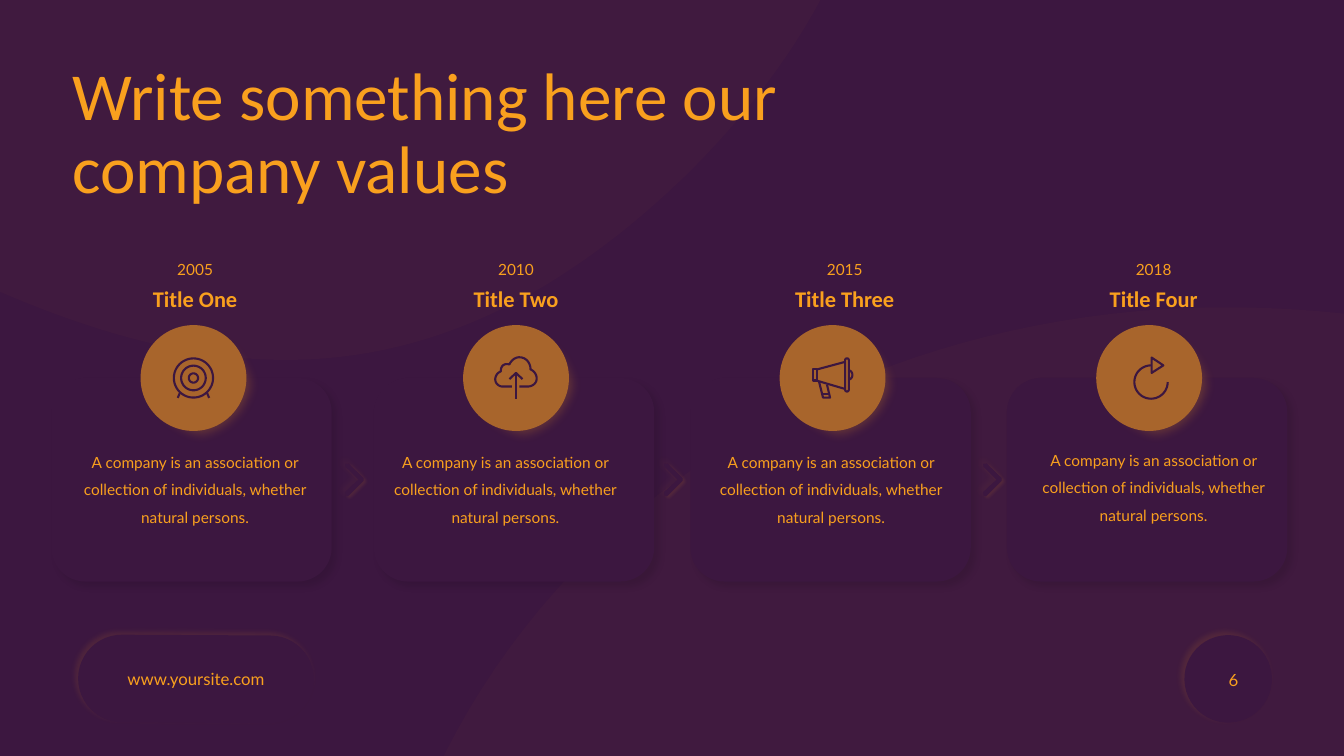
import math
from lxml import etree
from pptx import Presentation
from pptx.dml.color import RGBColor
from pptx.enum import shapes as kinds, text as txt
from pptx.oxml import ns
from pptx.util import Pt

PLUM = RGBColor(0x3C, 0x17, 0x40)
GOLD = RGBColor(0xF9, 0xA0, 0x1E)
COPPER = RGBColor(0xA8, 0x65, 0x2C)
BRONZE = RGBColor(0xC3, 0x78, 0x27)
BLACK = RGBColor(0, 0, 0)
OVAL = kinds.MSO_SHAPE.OVAL
ROUNDED = kinds.MSO_SHAPE.ROUNDED_RECTANGLE
CENTER = txt.PP_ALIGN.CENTER
UNITS_PER_POINT = 100

BODY = ("A company is an association or collection of individuals, "
        "whether natural persons.")


def arc(cx, cy, radius, start=0, end=360):
    angles = [math.radians(start + (end - start) * i / 48) for i in range(49)]
    return [(cx + radius * math.cos(a), cy + radius * math.sin(a)) for a in angles]


def curve(start, *beziers, steps=16):
    points = [start]
    for b, c, d in beziers:
        a = points[-1]
        for i in range(1, steps + 1):
            t = i / steps
            s = 1 - t
            points.append(tuple(
                s**3 * a[k] + 3 * s * s * t * b[k] + 3 * s * t * t * c[k] + t**3 * d[k]
                for k in (0, 1)))
    return points


def rect(left, top, right, bottom):
    return [(left, top), (right, top), (right, bottom), (left, bottom), (left, top)]


TARGET = [arc(0, 0, r) for r in (14, 8.8, 3.3)] + [
    [(side * 9.7, 10.7), (side * 11.2, 14.2)] for side in (-1, 1)]
CLOUD = [
    [(-2.9, 6.1)] + curve(
        (-9.7, 6.1),
        ((-12.2, 6.1), (-14.8, 3.8), (-14.8, 1.1)),
        ((-14.8, -1.4), (-13.3, -3.8), (-10.8, -4.7)),
        ((-11, -8), (-9, -10.8), (-4.7, -9.7)),
        ((-3, -13), (-0.5, -14.8), (2.5, -14.8)),
        ((6.8, -14.8), (10.4, -11.2), (10.4, -6.1)),
        ((13, -5), (14.8, -2.5), (14.8, 0.4)),
        ((14.8, 3.6), (12, 6.1), (8.3, 6.1))) + [(2.5, 6.1)],
    [(0, 15), (0, -3.6)],
    [(-4.7, 0.8), (0, -3.6), (4.7, 0.8)]]
MEGAPHONE = [
    rect(-14, -6.1, -11, 1.8),
    [(-11, -6.1), (9, -11.5)],
    [(-11, 2), (9, 7.9)],
    arc(10.3, -12.7, 1.3, 180, 360) + arc(10.3, 8.4, 1.3, 0, 180) + [(9, -12.7)],
    curve((11.6, -5.4), ((15, -5), (15, 0.7), (11.6, 1.1))),
    [(-9.7, 2.5), (-6.8, 14), (-1.8, 14), (-4, 4.7)],
    [(-7.6, 11.2), (-2.5, 11.2)]]
REFRESH = [
    arc(1.4, 2.9, 11.9, 0, 270),
    [(1.8, -14.6), (10.2, -9), (1.8, -3.6), (1.8, -14.6)]]

# fields: year, title, icon, card left, heading shift, body shift, body top
MILESTONES = [
    ("2005", "Title One", TARGET, 36.7, 2.6, 2.6, 313.2),
    ("2010", "Title Two", CLOUD, 267.1, 1.4, -6.1, 313.2),
    ("2015", "Title Three", MEGAPHONE, 493.2, 10.1, 0.4, 313.2),
    ("2018", "Title Four", REFRESH, 719.3, 4.7, 4.7, 311.8),
]


def add_effect(shape, tag, color=None, alpha=100, **attributes):
    effects = shape._element.spPr.find(ns.qn("a:effectLst"))
    effect = etree.SubElement(effects, ns.qn(tag), attributes)
    if color is not None:
        tint = etree.SubElement(effect, ns.qn("a:srgbClr"), val=str(color))
        etree.SubElement(tint, ns.qn("a:alpha"), val=str(alpha * 1000))


def cast_shadow(shape, color, alpha, blur, distance, degrees):
    add_effect(shape, "a:outerShdw", color, alpha, blurRad=str(Pt(blur)),
               dist=str(Pt(distance)), dir=str(degrees * 60000), rotWithShape="0")


def paint(shape, color, alpha=100):
    shape.fill.solid()
    shape.fill.fore_color.rgb = color
    if alpha < 100:
        tint = shape._element.spPr.find(".//" + ns.qn("a:srgbClr"))
        etree.SubElement(tint, ns.qn("a:alpha"), val=str(alpha * 1000))
    shape.line.fill.background()
    shape.shadow.inherit = False
    return shape


def add_solid(slide, kind, box, color, alpha=100, roundness=None):
    shape = slide.shapes.add_shape(kind, *map(Pt, box))
    if roundness is not None:
        shape.adjustments[0] = roundness
    return paint(shape, color, alpha)


def add_outline(slide, strokes, x=0, y=0, closed=False):
    scaled = [[((x + px) * UNITS_PER_POINT, (y + py) * UNITS_PER_POINT)
               for px, py in stroke] for stroke in strokes]
    pen = slide.shapes.build_freeform(*scaled[0][0], scale=Pt(1) / UNITS_PER_POINT)
    for index, stroke in enumerate(scaled):
        if index:
            pen.move_to(*stroke[0])
        pen.add_line_segments(stroke[1:], close=closed)
    return pen.convert_to_shape()


def add_text(slide, box, words, size, font="Lato", align=CENTER, bold=False,
             wrap=True, spacing=None, inset=None, anchor=txt.MSO_ANCHOR.TOP):
    frame = slide.shapes.add_textbox(*map(Pt, box)).text_frame
    frame.word_wrap = wrap
    frame.vertical_anchor = anchor
    if inset is not None:
        frame.margin_left = frame.margin_right = Pt(inset)
        frame.margin_top = frame.margin_bottom = Pt(inset)
    paragraph = frame.paragraphs[0]
    paragraph.alignment = align
    if spacing:
        paragraph.line_spacing = spacing
    run = paragraph.add_run()
    run.text = words
    run.font.size, run.font.name, run.font.bold = Pt(size), font, bold
    run.font.color.rgb = GOLD


def add_backdrop(slide):
    slide.background.fill.solid()
    slide.background.fill.fore_color.rgb = PLUM
    upper_wave = curve(
        (613, -160),
        ((652, -43), (516, 132), (379, 210)), ((240, 287), (102, 268), (-89, 165)),
        ((-281, 63), (-523, -122), (-492, -230)), ((-462, -338), (-156, -367), (104, -353)),
        ((363, -337), (575, -277), (613, -160)), steps=40)
    lower_wave = curve(
        (1426, 502),
        ((1481, 680), (1316, 922), (1091, 1087)), ((865, 1253), (580, 1341), (415, 1229)),
        ((252, 1117), (210, 806), (297, 585)), ((384, 363), (602, 230), (848, 220)),
        ((1094, 211), (1371, 325), (1426, 502)), steps=40)
    for wave in (upper_wave, lower_wave):
        paint(add_outline(slide, [wave], closed=True), BRONZE, 3)


def add_footer(slide, left, top, width, height):
    badge = add_solid(slide, OVAL, (left + width - height, top, height, height), PLUM)
    badge.rotation = 245.8
    pill_length = 168.5
    pill = add_solid(slide, ROUNDED,
                     (left + (pill_length - height) / 2, top - (pill_length - height) / 2,
                      height, pill_length), PLUM, roundness=0.5)
    pill.rotation = 270.3
    for shape in (badge, pill):
        cast_shadow(shape, GOLD, 10, 4, 3, 225)
    add_text(slide, (left + width - 233, top + 17.3, 216, 28.8), "6", 12,
             align=txt.PP_ALIGN.RIGHT, anchor=txt.MSO_ANCHOR.MIDDLE)
    add_text(slide, (left + 27, top + 20.2, 114.5, 21.6), "www.yoursite.com", 12, wrap=False)


def add_milestone(slide, left, top, width, height, year, title, icon,
                  heading_shift, body_shift, body_top):
    middle = left + width / 2
    card = add_solid(slide, ROUNDED, (left, top, width, height), PLUM)
    cast_shadow(card, BLACK, 10, 5, 5, 45)
    add_solid(slide, ROUNDED, (left + 7.9, top + 7.9, width - 15.8, height - 15.1),
              PLUM, roundness=0.112)
    hub = middle + 1.4
    glow = add_solid(slide, OVAL, (hub - 38.5, top - 38.9, 87, 87), COPPER, 40)
    add_effect(glow, "a:softEdge", rad=str(Pt(8)))
    for diameter in (75.6, 57.6):
        add_solid(slide, OVAL, (hub - diameter / 2, top - diameter / 2, diameter, diameter),
                  COPPER)
    drawing = add_outline(slide, icon, hub, top)
    drawing.shadow.inherit = False
    drawing.fill.background()
    drawing.line.color.rgb = PLUM
    drawing.line.width = Pt(1.5)
    heading = middle + heading_shift
    add_text(slide, (heading - 20, top - 87.8, 40, 20.9), year, 11, wrap=False)
    add_text(slide, (heading - 70, top - 69.8, 140, 26.6), title, 16, "Calibri", bold=True)
    add_text(slide, (middle + body_shift - 88.2, body_top, 176.4, 64.8), BODY, 11, spacing=1.5)


def add_chevron(slide, left, top):
    tip = [(2.2, 23.8), (0.7, 23.4), (0.4, 21), (10, 12.2), (0.7, 3), (0.4, 0.9),
           (2.9, 0.7), (13.5, 11), (13.5, 13), (2.9, 23.5)]
    for shadow in ((5, 5, 3, 225), (10, 2, 2, 30)):
        cast_shadow(paint(add_outline(slide, [tip], left, top, True), PLUM), GOLD, *shadow)


def main():
    deck = Presentation()
    deck.slide_width, deck.slide_height = Pt(960), Pt(540)
    slide = deck.slides.add_slide(deck.slide_layouts[6])
    add_backdrop(slide)
    add_footer(slide, 55.8, 453.6, 852.8, 62.6)
    for year, title, icon, left, heading_shift, body_shift, body_top in MILESTONES:
        add_milestone(slide, left, 270, 200.2, 145.4, year, title, icon,
                      heading_shift, body_shift, body_top)
    for gap in range(3):
        add_chevron(slide, 246.2 + gap * 227.9, 330.5)
    add_text(slide, (51.8, 44.6, 591, 113.8), "Write something here our company values",
             48, "Calibri", txt.PP_ALIGN.LEFT, spacing=0.9, inset=0)
    deck.save("out.pptx")


if __name__ == "__main__":
    main()
